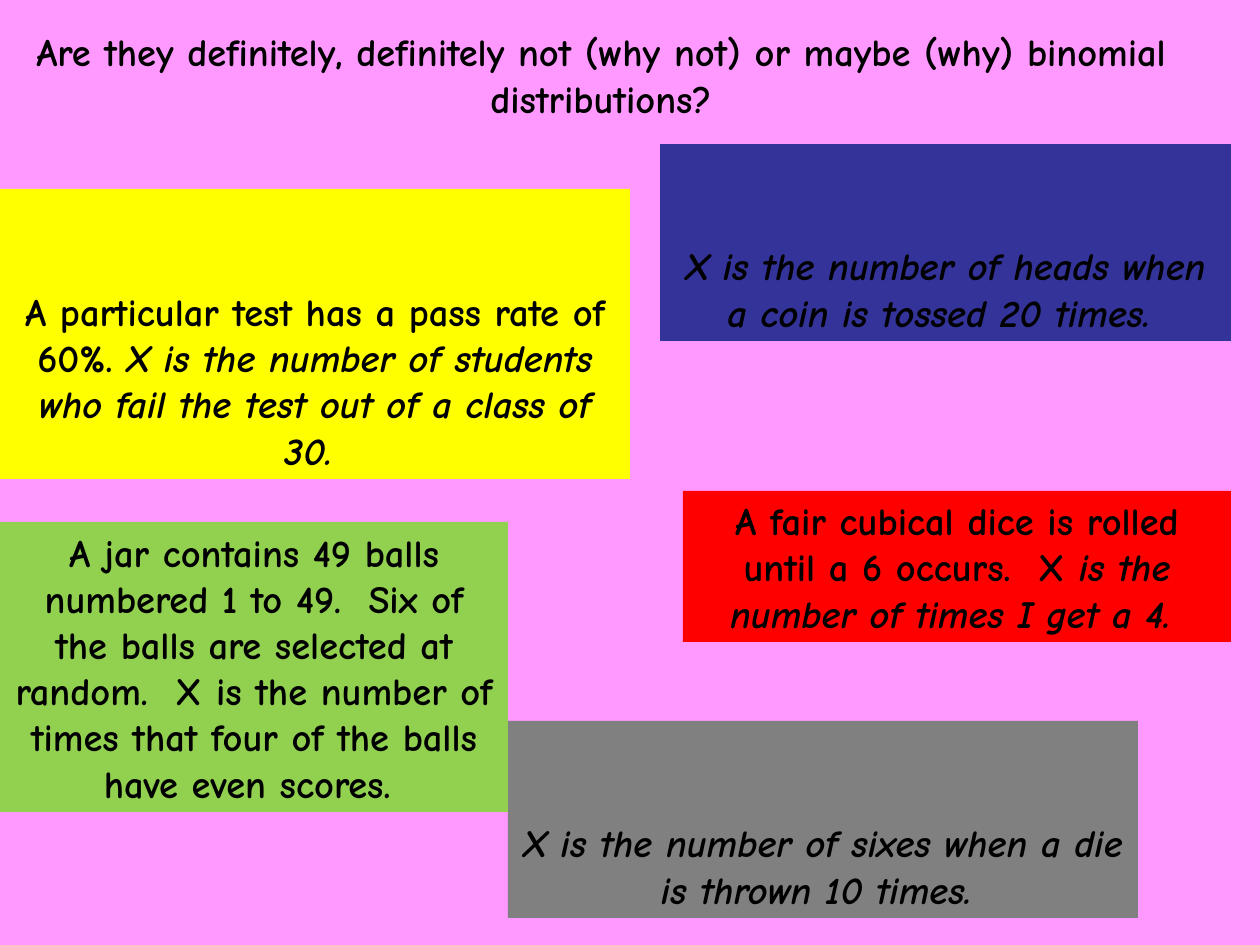
"""Build a slide of five situations to sort by whether they are binomial."""
from pptx import Presentation
from pptx import util as u
from pptx.dml.color import RGBColor
from pptx.enum import shapes, text

PINK = RGBColor(0xFF, 0x99, 0xFF)
YELLOW = RGBColor(0xFF, 0xFF, 0x00)
GREY = RGBColor(0x80, 0x80, 0x80)
NAVY = RGBColor(0x33, 0x33, 0x99)
RED = RGBColor(0xFF, 0x00, 0x00)
GREEN = RGBColor(0x92, 0xD0, 0x50)
BLACK = RGBColor(0x00, 0x00, 0x00)

QUESTION = ("Are they definitely, definitely not (why not) or maybe (why) "
            "binomial distributions?")
QUESTION_BOX = (0, 21, 1202, 106)

CARDS = [
    (YELLOW, (0, 189, 630, 290),
     "A particular test has a pass rate of 60%. ",
     "X is the number of students who fail the test out of a class of 30. "),
    (GREY, (508, 721, 630, 197),
     "", "X is the number of sixes when a die is thrown 10 times. "),
    (NAVY, (660, 144, 571, 197),
     "", "X is the number of heads when a coin is tossed 20 times. "),
    (RED, (683, 491, 548, 151),
     "A fair cubical dice is rolled until a 6 occurs.  X",
     " is the number of times I get a 4. "),
    (GREEN, (0, 522, 508, 290),
     "A jar contains 49 balls numbered 1 to 49.  Six of the balls are "
     "selected at random.  X is the number of times that four of the balls "
     "have even scores. ", ""),
]

FONT = {"name": "Comic Neue", "size": u.Pt(22), "bold": True}
FRAME = {"word_wrap": True, "vertical_anchor": text.MSO_ANCHOR.BOTTOM}
SCALE = u.Inches(1) / 126


def px(*lengths):
    return [u.Emu(round(length * SCALE)) for length in lengths]


def apply(target, values):
    for name, value in values.items():
        setattr(target, name, value)


def write(shape, upright, italic=""):
    apply(shape.text_frame, FRAME)
    paragraph = shape.text_frame.paragraphs[0]
    paragraph.alignment = text.PP_ALIGN.CENTER
    for words, slanted in ((upright, False), (italic, True)):
        if words:
            run = paragraph.add_run()
            run.text = words
            apply(run.font, {**FONT, "italic": slanted})
            run.font.color.rgb = BLACK


def add_card(slide, colour, box, upright, italic):
    card = slide.shapes.add_shape(shapes.MSO_SHAPE.RECTANGLE, *px(*box))
    card.shadow.inherit = False
    card.fill.solid()
    card.fill.fore_color.rgb = colour
    card.line.fill.background()
    write(card, upright, italic)


def main():
    presentation = Presentation()
    presentation.slide_width, presentation.slide_height = px(1260, 945)
    slide = presentation.slides.add_slide(presentation.slide_layouts[6])
    slide.background.fill.solid()
    slide.background.fill.fore_color.rgb = PINK
    for card in CARDS:
        add_card(slide, *card)
    write(slide.shapes.add_textbox(*px(*QUESTION_BOX)), QUESTION)
    presentation.save("out.pptx")


if __name__ == "__main__":
    main()
